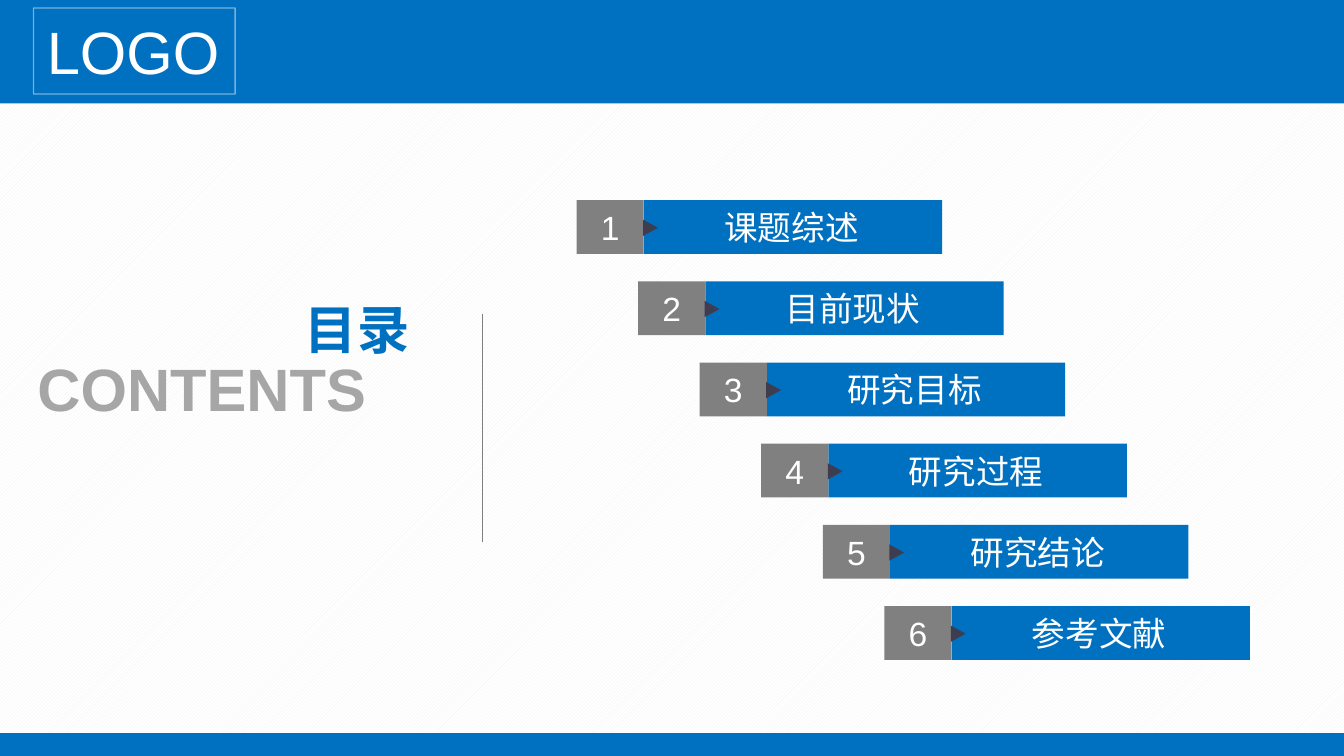
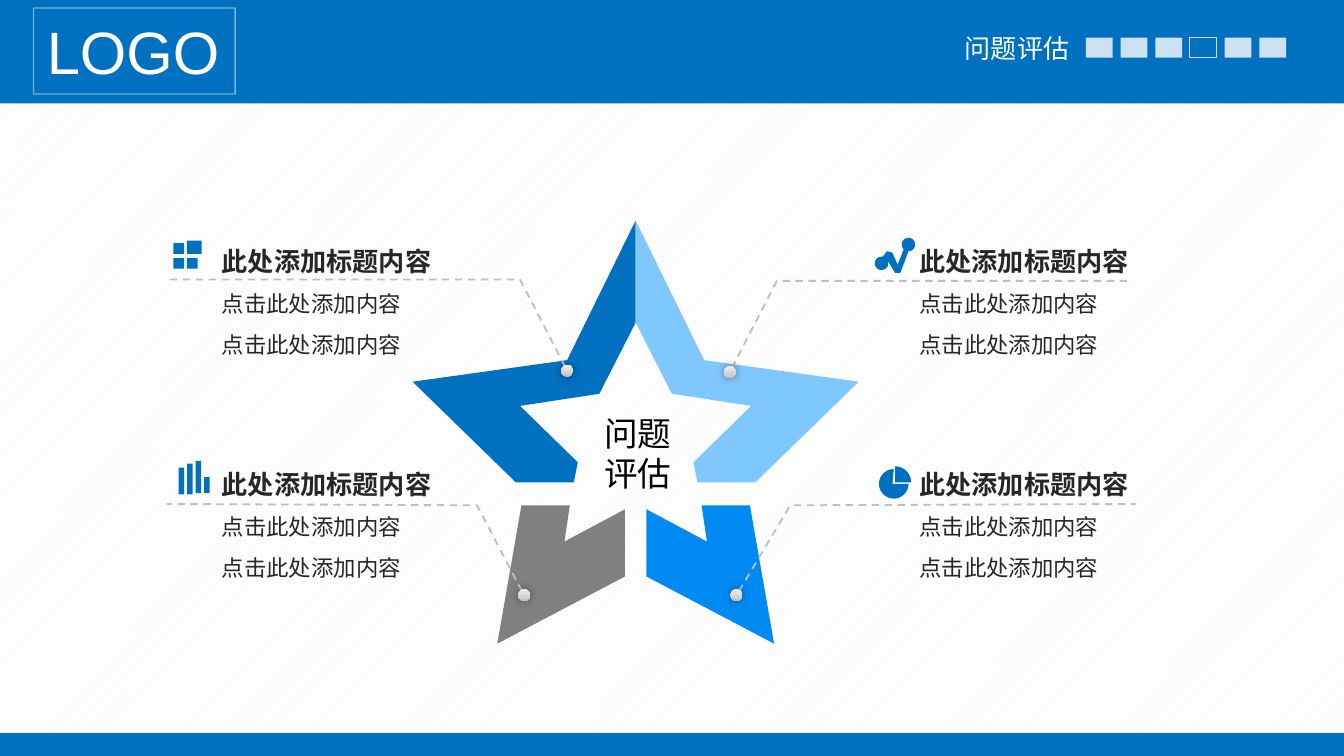
from copy import deepcopy
from math import cos, radians, sin

from pptx import Presentation
from pptx.dml.color import RGBColor
from pptx.enum.dml import MSO_LINE_DASH_STYLE as DASH, MSO_PATTERN_TYPE as PATTERN
from pptx.enum.shapes import MSO_CONNECTOR_TYPE as CONNECTOR, MSO_SHAPE as SHAPE
from pptx.enum.text import MSO_ANCHOR as ANCHOR, MSO_AUTO_SIZE as AUTO, PP_ALIGN as ALIGN
from pptx.oxml.ns import qn
from pptx.util import Inches, Pt
from lxml.etree import SubElement

FONT = "Arial"
WIDTH = 10
HEIGHT = WIDTH * 9 / 16
COLORS = {
    "blue": "0070C0", "bright": "008AF2", "sky": "7FC8FF", "gray": "808080",
    "silver": "A6A6A6", "rule": "BFBFBF", "pale": "D9D9D9", "arrow": "3E3D4F",
    "ink": "262626", "black": "000000", "white": "FFFFFF", "hatch": "F2F2F2",
}
DOT_STOPS = [(0, "BDBDBD"), (0.35, "D1D1D1"), (1, "EEEEEE")]
STAR_AXIS = 4.73
PLACEHOLDER = ["此处添加标题内容", "点击此处添加内容", "点击此处添加内容"]
TOPICS = ["课题综述", "目前现状", "研究目标", "研究过程", "研究结论", "参考文献"]


def rgb(name):
    return RGBColor.from_string(COLORS[name])


# ---- Basic elements ----
def set_alpha(sp, percent):
    for color in sp._element.spPr.iter(qn("a:srgbClr")):
        SubElement(color, qn("a:alpha")).set("val", str(percent * 1000))


def style(sp, fill=None, line=None, width=0.75):
    sp.shadow.inherit = False
    if fill:
        sp.fill.solid()
        sp.fill.fore_color.rgb = rgb(fill)
    else:
        sp.fill.background()
    if line:
        sp.line.color.rgb = rgb(line)
        sp.line.width = Pt(width)
    else:
        sp.line.fill.background()
    return sp


def add_box(s, x, y, w, h, fill=None, line=None, width=0.75, kind=SHAPE.RECTANGLE):
    sp = s.shapes.add_shape(kind, Inches(x), Inches(y), Inches(w), Inches(h))
    return style(sp, fill, line, width)


def format_paragraph(p, size, color, bold=False, align=ALIGN.LEFT):
    p.alignment = align
    for r in p.runs:
        r.font.name, r.font.size, r.font.bold = FONT, Pt(size), bold
        r.font.color.rgb = rgb(color)


def set_text(sp, text, size, color, bold=False, align=ALIGN.LEFT,
             anchor=ANCHOR.TOP, wrap=True, grow=False):
    tf = sp.text_frame
    tf.text = text
    tf.word_wrap = wrap
    tf.vertical_anchor = anchor
    if grow:
        tf.auto_size = AUTO.SHAPE_TO_FIT_TEXT
    for p in tf.paragraphs:
        format_paragraph(p, size, color, bold, align)
    return tf


def add_text(s, x, y, w, h, text, size, color, **options):
    tb = s.shapes.add_textbox(Inches(x), Inches(y), Inches(w), Inches(h))
    return set_text(tb, text, size, color, grow=True, **options)


def add_outline(s, points, fill=None, line=None, width=1, close=True):
    corners = [(Inches(x), Inches(y)) for x, y in points]
    builder = s.shapes.build_freeform(*corners[0])
    builder.add_line_segments(corners[1:], close=close)
    return style(builder.convert_to_shape(), fill, line, width)


def arc(cx, cy, radius, start, end, steps=24):
    angles = [radians(start + (end - start) * i / steps) for i in range(steps + 1)]
    return [(cx + radius * cos(a), cy + radius * sin(a)) for a in angles]


def mirror(points):
    return [(2 * STAR_AXIS - x, y) for x, y in points]


# ---- Shared frame ----
def add_slide(prs):
    s = prs.slides.add_slide(prs.slide_layouts[6])
    fill = s.background.fill
    fill.patterned()
    fill.pattern = PATTERN.LIGHT_UPWARD_DIAGONAL
    fill.fore_color.rgb = rgb("hatch")
    fill.back_color.rgb = rgb("white")
    add_box(s, 0, 0, WIDTH, 0.77, "blue")
    add_box(s, 0, HEIGHT - 0.17, WIDTH, 0.17, "blue")
    frame = add_box(s, 0.25, 0.06, 1.5, 0.64, line="white")
    set_alpha(frame, 46)
    set_text(frame, "LOGO", 32, "white", wrap=False, grow=True)
    return s


def add_progress(s, title, current, total=6):
    add_text(s, 7.08, 0.19, 1, 0.34, title, 14, "white", wrap=False)
    for i in range(total):
        x = 8.08 + 1.29 / (total - 1) * i
        if i == current:
            add_box(s, x, 0.28, 0.2, 0.15, line="pale", width=0.5)
        else:
            set_alpha(add_box(s, x, 0.28, 0.2, 0.15, "white"), 80)


# ---- Contents ----
def add_topic(s, i, topic):
    x, y = 4.79 + 2.29 / 5 * i, 1.49 + 3.02 / 5 * i
    bar = add_box(s, x, y, 2.22, 0.4, "blue")
    tf = set_text(bar, topic, 18, "white", anchor=ANCHOR.MIDDLE)
    tf.paragraphs[0]._p.get_or_add_pPr().set("indent", str(Inches(0.5)))
    number = add_box(s, x - 0.5, y, 0.5, 0.4, "gray")
    set_text(number, str(i + 1), 18, "white", align=ALIGN.CENTER, anchor=ANCHOR.MIDDLE)
    marker = add_box(s, x - 0.01, y + 0.15, 0.12, 0.11, "arrow",
                     kind=SHAPE.ISOSCELES_TRIANGLE)
    marker.rotation = 90


def build_contents(prs):
    s = add_slide(prs)
    add_text(s, 0.18, 2.57, 3.42, 0.64, "CONTENTS", 32, "silver", bold=True)
    add_text(s, 2.17, 2.16, 0.99, 0.57, "目录", 28, "blue", bold=True, wrap=False)
    divider = s.shapes.add_connector(CONNECTOR.STRAIGHT, Inches(3.59), Inches(2.34),
                                     Inches(3.59), Inches(4.03))
    divider.line.color.rgb = rgb("gray")
    divider.line.width = Pt(0.75)
    SubElement(divider._element.spPr, qn("a:effectLst"))
    for i, topic in enumerate(TOPICS):
        add_topic(s, i, topic)


# ---- Star and callouts ----
def add_star(s):
    arm = [(4.22, 2.68), (3.07, 2.84), (3.84, 3.59), (4.27, 3.59), (4.3, 3.44),
           (3.87, 3.02), (4.46, 2.93), (4.73, 2.4), (4.73, 1.64)]
    leg = [(4.65, 3.79), (4.2, 4.03), (4.24, 3.76), (3.88, 3.76), (3.7, 4.79),
           (4.65, 4.29)]
    add_outline(s, arm, "blue")
    add_outline(s, mirror(arm), "sky")
    add_outline(s, leg, "gray")
    add_outline(s, mirror(leg), "bright")
    add_text(s, 4.06, 3.02, 1.37, 0.71, "问题\n评估", 18, "black", align=ALIGN.CENTER)


def add_dot(s, x, y, size=0.09):
    dot = add_box(s, x - size / 2, y - size / 2, size, size, kind=SHAPE.OVAL)
    dot.fill.gradient()
    dot.fill.gradient_angle = 90
    stop_list = next(dot._element.spPr.iter(qn("a:gsLst")))
    stop_list.append(deepcopy(stop_list[-1]))
    for stop, (position, color) in zip(dot.fill.gradient_stops, DOT_STOPS):
        stop.position = position
        stop.color.rgb = RGBColor.from_string(color)
    effects = dot._element.spPr.find(qn("a:effectLst"))
    shadow = SubElement(effects, qn("a:outerShdw"), blurRad=str(Pt(5)), dist="0", dir="0")
    color = SubElement(shadow, qn("a:srgbClr"), val=COLORS["black"])
    SubElement(color, qn("a:alpha"), val="40000")


def add_callout(s, x, y, leader):
    line = add_outline(s, leader, line="rule", close=False)
    line.line.dash_style = DASH.DASH
    SubElement(line._element.spPr.find(qn("a:ln")), qn("a:headEnd"), type="oval")
    add_dot(s, *leader[0])
    tf = add_text(s, x, y, 1.89, 1.39, "\n".join(PLACEHOLDER), 12, "ink",
                  align=ALIGN.JUSTIFY)
    tf.margin_left = tf.margin_right = Inches(0.07)
    tf.margin_top = tf.margin_bottom = Inches(0.04)
    for p in tf.paragraphs:
        p.line_spacing = 1.5
    format_paragraph(tf.paragraphs[0], 14, "ink", True, ALIGN.JUSTIFY)


# ---- Icons ----
def add_blocks_icon(s):
    for x, y, w, h in [(1.29, 1.81, 0.08, 0.08), (1.39, 1.79, 0.11, 0.1),
                       (1.29, 1.92, 0.08, 0.08), (1.39, 1.92, 0.08, 0.08)]:
        add_box(s, x, y, w, h, "blue")


def add_bars_icon(s):
    for i, (top, height) in enumerate([(3.48, 0.2), (3.45, 0.23), (3.43, 0.24), (3.55, 0.12)]):
        add_box(s, 1.33 + 0.19 / 3 * i, top, 0.04, height, "blue")


def add_trend_icon(s):
    upper_node = arc(6.76, 1.82, 0.05, 90, -225)
    lower_node = arc(6.56, 1.96, 0.05, -80, -385)
    add_outline(s, upper_node + [(6.68, 1.97), (6.64, 1.88), (6.6, 1.87)]
                + lower_node + [(6.66, 2.03), (6.7, 2.03)], "blue")


def add_pie_icon(s):
    add_outline(s, [(6.64, 3.6)] + arc(6.65, 3.6, 0.11, 0, 270), "blue")
    add_outline(s, [(6.66, 3.59)] + arc(6.66, 3.59, 0.12, -90, 0), "blue")


def build_evaluation(prs):
    s = add_slide(prs)
    add_progress(s, "问题评估", current=3)
    add_star(s)
    callouts = [
        (1.58, 1.67, [(4.22, 2.76), (3.87, 2.08), (1.23, 2.08)]),
        (6.77, 1.67, [(5.43, 2.77), (5.78, 2.09), (8.43, 2.09)]),
        (6.77, 3.33, [(5.48, 4.43), (5.88, 3.76), (8.45, 3.75)]),
        (1.58, 3.33, [(3.9, 4.43), (3.55, 3.76), (1.24, 3.75)]),
    ]
    for callout in callouts:
        add_callout(s, *callout)
    for add_icon in (add_blocks_icon, add_trend_icon, add_pie_icon, add_bars_icon):
        add_icon(s)


def main():
    prs = Presentation()
    prs.slide_width, prs.slide_height = Inches(WIDTH), Inches(HEIGHT)
    build_contents(prs)
    build_evaluation(prs)
    prs.save("out.pptx")


if __name__ == "__main__":
    main()
